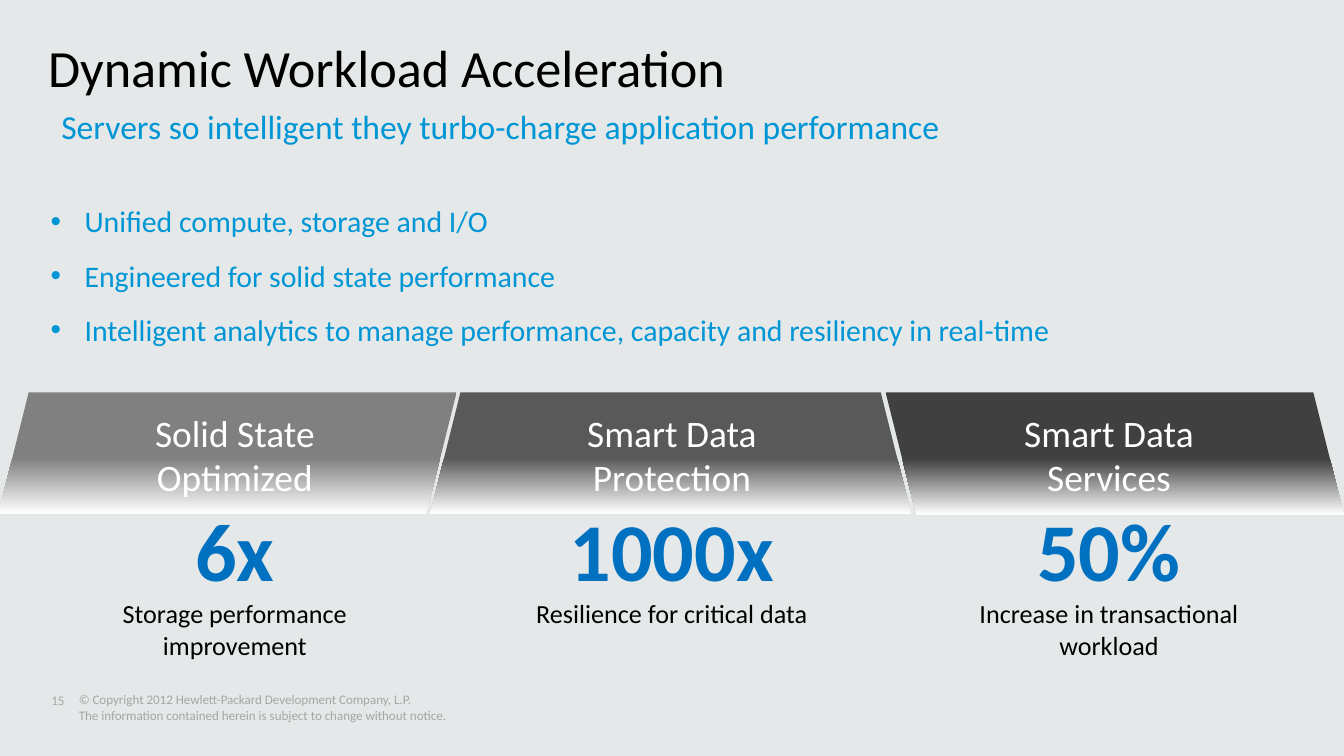
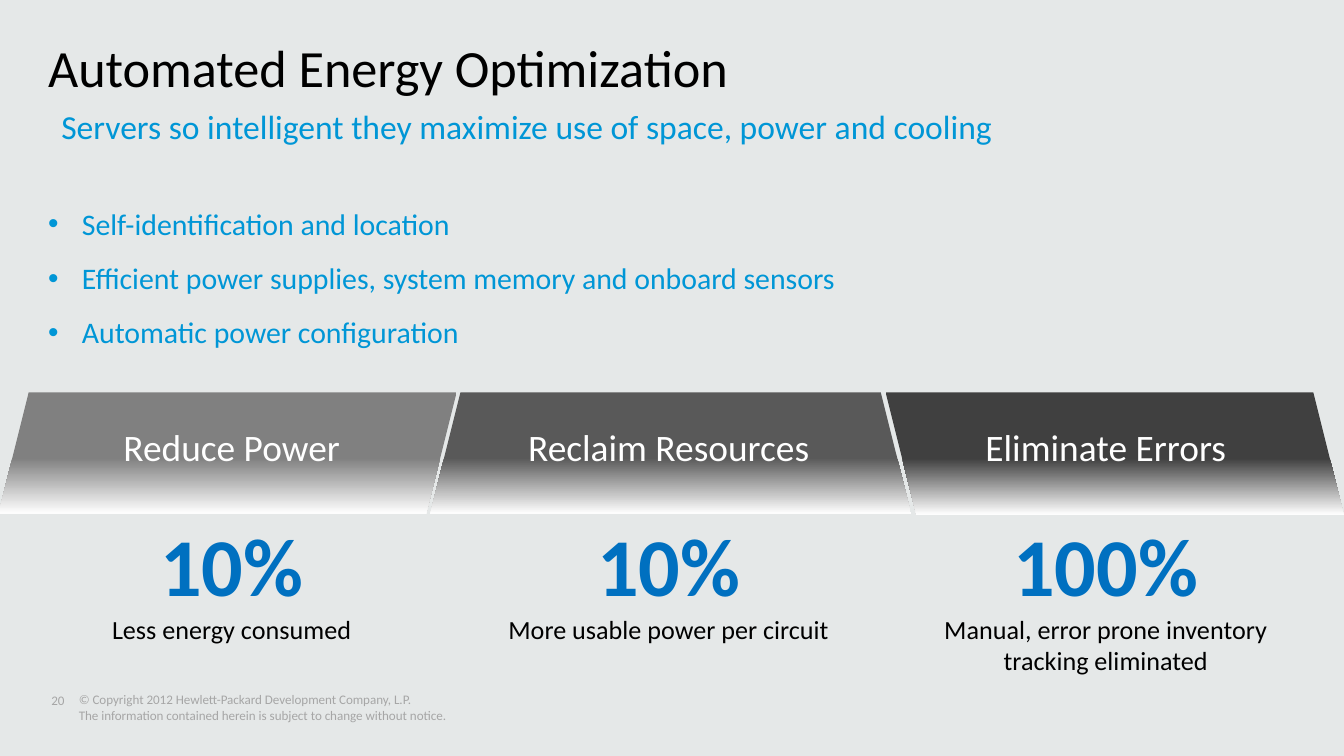
from lxml import etree
from pptx import Presentation
from pptx.dml.color import RGBColor
from pptx.enum.shapes import MSO_SHAPE as SHAPE
from pptx.enum.text import MSO_ANCHOR as ANCHOR, PP_ALIGN as ALIGN
from pptx.oxml.ns import qn
from pptx.util import Cm, Pt

# Content
SLIDES = [
    {
        "number": "15",
        "title": "Dynamic Workload Acceleration",
        "subtitle": "Servers so intelligent they turbo-charge application performance",
        "bullets": [
            "Unified compute, storage and I/O",
            "Engineered for solid state performance",
            "Intelligent analytics to manage performance, capacity and resiliency in real-time",
        ],
        "bullets_at": (0.71, 3.58),
        "benefits": [
            ("Solid State\vOptimized", "6x", "Storage performance improvement"),
            ("Smart Data\vProtection", "1000x", "Resilience for critical data"),
            ("Smart Data\vServices", "50%", "Increase in transactional workload"),
        ],
        "benefits_top": 7.62,
        "middle": 12.7,
        "gap_above_figure": 0,
    },
    {
        "number": "20",
        "title": "Automated Energy Optimization",
        "subtitle": "Servers so intelligent they maximize use of space, power and cooling",
        "bullets": [
            "Self-identification and location",
            "Efficient power supplies, system memory and onboard sensors",
            "Automatic power configuration",
        ],
        "bullets_at": (0.66, 3.63),
        "benefits": [
            ("Reduce Power", "10%", "Less energy consumed"),
            ("Reclaim Resources", "10%", "More usable power per circuit"),
            ("Eliminate Errors", "100%", "Manual, error prone inventory tracking eliminated"),
        ],
        "benefits_top": 7.9,
        "middle": 12.64,
        "gap_above_figure": 24.4,
    },
]
COPYRIGHT = ("© Copyright 2012 Hewlett-Packard Development Company, L.P.\v"
             "The information contained herein is subject to change without notice.")

# Shared style
FONT = "Calibri"
BACKGROUND, BLACK, WHITE = "E5E8E8", "000000", "FFFFFF"
SKY, BLUE, FOOTER_GREY = "0096D6", "0070C0", "A6A6A6"
BAND_TOP = 7.42
BANDS = [  # shape, left, width, height, colour, mirrored
    (SHAPE.TRAPEZOID, 8.13, 9.09, 2.29, "595959", False),
    (SHAPE.PARALLELOGRAM, -0.03, 8.66, 2.29, "808080", False),
    (SHAPE.PARALLELOGRAM, 16.74, 8.66, 2.31, "404040", True),
]
COLUMN_WIDTH, COLUMN_STEP = 7.37, 8.26


def rgb(color):
    return RGBColor.from_string(color)


def add_text(s, box, lines, inset=True, anchor=ANCHOR.TOP, align=ALIGN.LEFT):
    """Add a text box; each line is (text, size, colour, bold)."""
    tf = s.shapes.add_textbox(*map(Cm, box)).text_frame
    tf.word_wrap = True
    tf.vertical_anchor = anchor
    if not inset:
        tf.margin_left = tf.margin_right = tf.margin_top = tf.margin_bottom = 0
    tf.text = "\n".join(line[0] for line in lines)
    for p, (_, size, color, bold) in zip(tf.paragraphs, lines):
        p.alignment = align
        for r in p.runs:
            r.font.name, r.font.size, r.font.bold = FONT, Pt(size), bold
            r.font.color.rgb = rgb(color)
    return tf


def add_band(s, kind, left, width, height, color, mirrored):
    sp = s.shapes.add_shape(kind, Cm(left), Cm(BAND_TOP), Cm(width), Cm(height))
    sp.shadow.inherit = False
    sp.line.fill.background()
    sp.fill.gradient()
    sp.fill.gradient_angle = 270
    stops = zip(sp.fill.gradient_stops, [(0.54, color), (1, WHITE)])
    for stop, (position, stop_color) in stops:
        stop.position = position
        stop.color.rgb = rgb(stop_color)
    if mirrored:
        sp._element.spPr.find(qn("a:xfrm")).set("flipH", "1")


def add_bullets(s, at, items):
    tf = add_text(s, (*at, 23.7, 3.15), [(item, 16, SKY, False) for item in items])
    for p in tf.paragraphs:
        pPr = p._p.get_or_add_pPr()
        pPr.set("marL", str(Cm(0.64)))
        pPr.set("indent", str(-Cm(0.64)))
        etree.SubElement(pPr, qn("a:buFont")).set("typeface", "Arial")
        etree.SubElement(pPr, qn("a:buChar")).set("char", "•")
        p.line_spacing = 1.2
        p.space_after = Pt(6)


def add_benefits(s, content):
    first_left = content["middle"] - COLUMN_STEP - COLUMN_WIDTH / 2
    for i, (heading, figure, caption) in enumerate(content["benefits"]):
        box = (first_left + i * COLUMN_STEP, content["benefits_top"], COLUMN_WIDTH, 5)
        lines = [(heading, 20, WHITE, False), (figure, 44, BLUE, True),
                 (caption, 14, BLACK, False)]
        tf = add_text(s, box, lines, align=ALIGN.CENTER)
        tf.paragraphs[1].space_before = Pt(content["gap_above_figure"])


def build_slide(prs, content):
    s = prs.slides.add_slide(prs.slide_layouts[6])
    s.background.fill.solid()
    s.background.fill.fore_color.rgb = rgb(BACKGROUND)

    # Footer
    add_text(s, (1.24, 12.95, 8.66, 1.14), [(COPYRIGHT, 7, FOOTER_GREY, False)])
    add_text(s, (0.97, 13.08, 0.51, 0.3),
             [(content["number"], 7, FOOTER_GREY, False)], inset=False)

    # Heading
    add_text(s, (0.91, 0.66, 23.5, 1.19), [(content["title"], 28, BLACK, False)],
             inset=False, anchor=ANCHOR.MIDDLE)
    subtitle = add_text(s, (0.91, 1.83, 23.5, 0.94),
                        [(content["subtitle"], 18, SKY, False)], anchor=ANCHOR.MIDDLE)
    subtitle.paragraphs[0].line_spacing = 1.2

    # Body
    add_bullets(s, content["bullets_at"], content["bullets"])
    for band in BANDS:
        add_band(s, *band)
    add_benefits(s, content)


def main():
    prs = Presentation()
    prs.slide_width, prs.slide_height = Cm(25.4), Cm(14.29)
    for content in SLIDES:
        build_slide(prs, content)
    prs.save("out.pptx")


if __name__ == "__main__":
    main()
